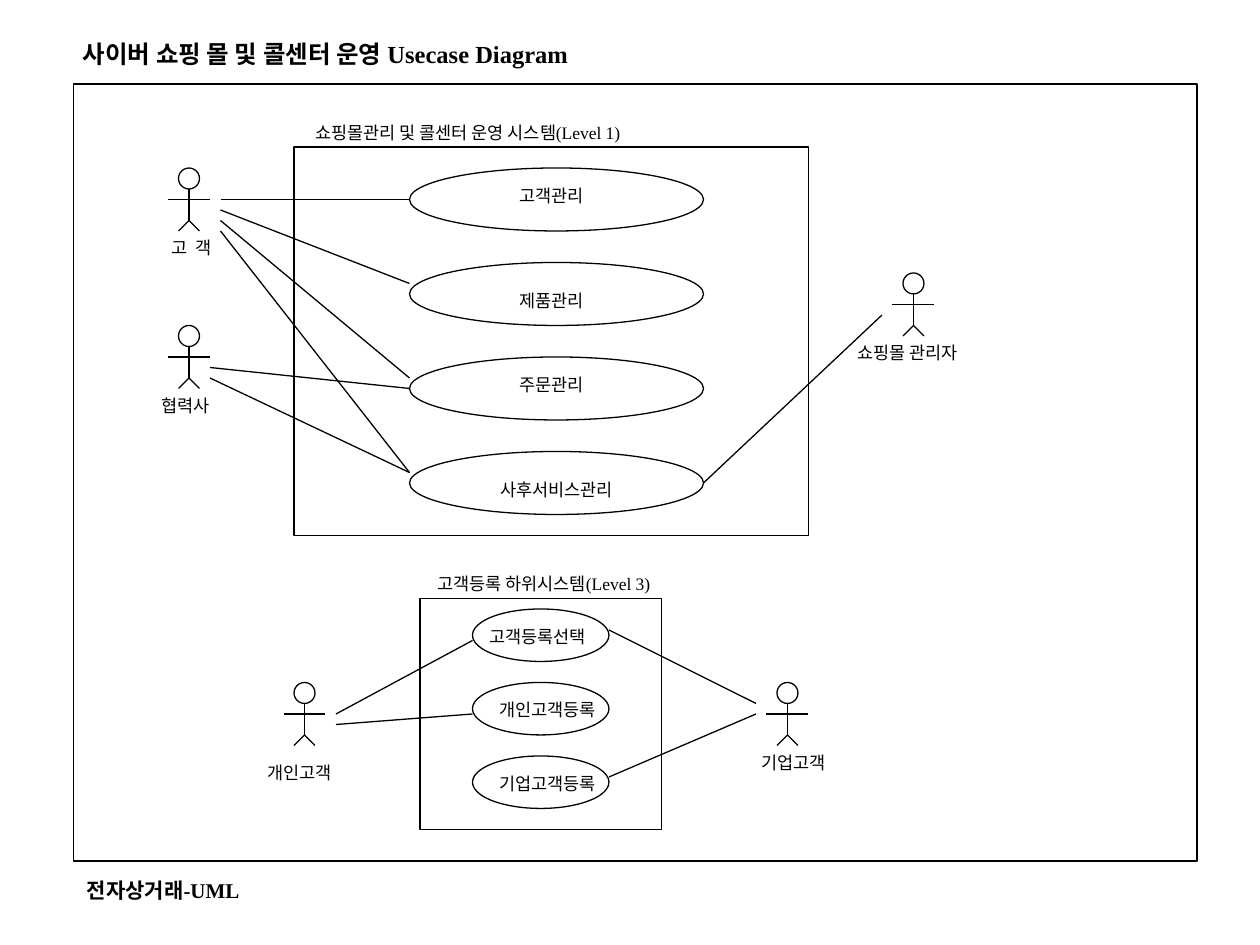
from dataclasses import dataclass
from typing import NamedTuple

from lxml.etree import SubElement
from pptx import Presentation
from pptx.dml.color import RGBColor
from pptx.enum.shapes import MSO_CONNECTOR, MSO_SHAPE
from pptx.enum.text import MSO_AUTO_SIZE
from pptx.oxml.ns import qn
from pptx.util import Inches, Pt


@dataclass(frozen=True)
class Theme:
    ink: RGBColor = RGBColor(0, 0, 0)
    paper: RGBColor = RGBColor(255, 255, 255)
    font: str = "Times New Roman"
    title: int = 14
    foot: int = 12
    body: int = 10
    line: float = 0.75


class Box(NamedTuple):
    col: float
    row: float
    wide: float
    high: float


class Link(NamedTuple):
    col: float
    row: float
    end_col: float
    end_row: float


class Label(NamedTuple):
    text: str
    col: float
    row: float
    wide: float


class Actor(NamedTuple):
    mid: float
    top: float
    label: Label


THEME = Theme()
CELL = Inches(1) / 12  # the slide is a grid of 120 columns by 90 rows

FRAMES = [Box(7, 8, 107, 74), Box(28, 14, 49, 37), Box(40, 57, 23, 22)]
CASES = [Box(39, 16 + 9 * i, 28, 6) for i in range(4)]
CASES += [Box(45, 58 + 7 * i, 13, 5) for i in range(3)]

ACTORS = [
    Actor(18, 16, Label("고  객", 15.2, 22, 6.5)),
    Actor(18, 31, Label("협력사", 14.2, 37, 7.3)),
    Actor(87, 26, Label("쇼핑몰 관리자", 80.5, 32, 12.2)),
    Actor(29, 65, Label("개인고객", 24.3, 72, 8.8)),
    Actor(75, 65, Label("기업고객", 71.3, 71, 8.8)),
]

LABELS = [
    Label("쇼핑몰관리 및 콜센터 운영 시스템(Level 1)", 28.9, 11, 32.2),
    Label("고객관리", 48.3, 17, 8.8),
    Label("제품관리", 48.3, 27, 8.8),
    Label("주문관리", 48.3, 35, 8.8),
    Label("사후서비스관리", 46.5, 45, 13.4),
    Label("고객등록 하위시스템(Level 3)", 40.5, 54, 23.5),
    Label("고객등록선택", 45.4, 59, 11.9),
    Label("개인고객등록", 46.4, 66, 11.9),
    Label("기업고객등록", 46.4, 73, 11.9),
]

LINKS = [
    # Customer, partner and mall manager
    Link(21, 19, 39, 19),
    Link(21, 20, 39, 27),
    Link(21, 21, 39, 36),
    Link(21, 22, 39, 45),
    Link(20, 35, 39, 37),
    Link(20, 36, 39, 45),
    Link(84, 30, 67, 46),
    # Personal and company customers
    Link(32, 68, 45, 61),
    Link(32, 69, 45, 68),
    Link(58, 60, 72, 67),
    Link(72, 68, 58, 74),
]


def grid(*cells: float) -> list[int]:
    return [round(cell * CELL) for cell in cells]


def draw_box(shapes, kind: MSO_SHAPE, box: Box) -> None:
    shape = shapes.add_shape(kind, *grid(*box))
    shape.shadow.inherit = False
    shape.fill.solid()
    shape.fill.fore_color.rgb = THEME.paper
    shape.line.color.rgb = THEME.ink
    shape.line.width = Pt(THEME.line)


def draw_link(shapes, link: Link) -> None:
    line = shapes.add_connector(MSO_CONNECTOR.STRAIGHT, *grid(*link))
    line.line.color.rgb = THEME.ink
    line.line.width = Pt(THEME.line)
    SubElement(line._element.spPr, qn("a:effectLst"))


def draw_label(shapes, label: Label, size: int = THEME.body,
               bold: bool = False) -> None:
    high = Pt(size * 1.2) + Inches(0.1)
    area = shapes.add_textbox(*grid(label.col, label.row, label.wide), high)
    frame = area.text_frame
    frame.word_wrap = False
    frame.auto_size = MSO_AUTO_SIZE.SHAPE_TO_FIT_TEXT
    frame.text = label.text
    font = frame.paragraphs[0].runs[0].font
    font.name = THEME.font
    font.size = Pt(size)
    font.bold = bold
    font.color.rgb = THEME.ink


def draw_actor(shapes, actor: Actor) -> None:
    mid, top, label = actor
    draw_box(shapes, MSO_SHAPE.OVAL, Box(mid - 1, top, 2, 2))
    draw_link(shapes, Link(mid, top + 2, mid, top + 5))
    draw_link(shapes, Link(mid - 2, top + 3, mid + 2, top + 3))
    for side in (-1, 1):
        draw_link(shapes, Link(mid, top + 5, mid + side, top + 6))
    draw_label(shapes, label)


def main() -> None:
    deck = Presentation()
    deck.slide_width, deck.slide_height = grid(120, 90)
    shapes = deck.slides.add_slide(deck.slide_layouts[6]).shapes

    # Title, outer frame and system borders
    draw_label(shapes, Label("사이버 쇼핑 몰 및 콜센터 운영 Usecase Diagram",
                             6.7, 3.1, 49.6), THEME.title, True)
    for frame in FRAMES:
        draw_box(shapes, MSO_SHAPE.RECTANGLE, frame)

    # Actors and use cases
    for actor in ACTORS:
        draw_actor(shapes, actor)
    for case in CASES:
        draw_box(shapes, MSO_SHAPE.OVAL, case)
    for label in LABELS:
        draw_label(shapes, label)

    # Links between actors and use cases
    for link in LINKS:
        draw_link(shapes, link)

    # Footer
    draw_label(shapes, Label("전자상거래-UML", 7.1, 83, 17.7),
               THEME.foot, True)
    deck.save("out.pptx")


if __name__ == "__main__":
    main()
